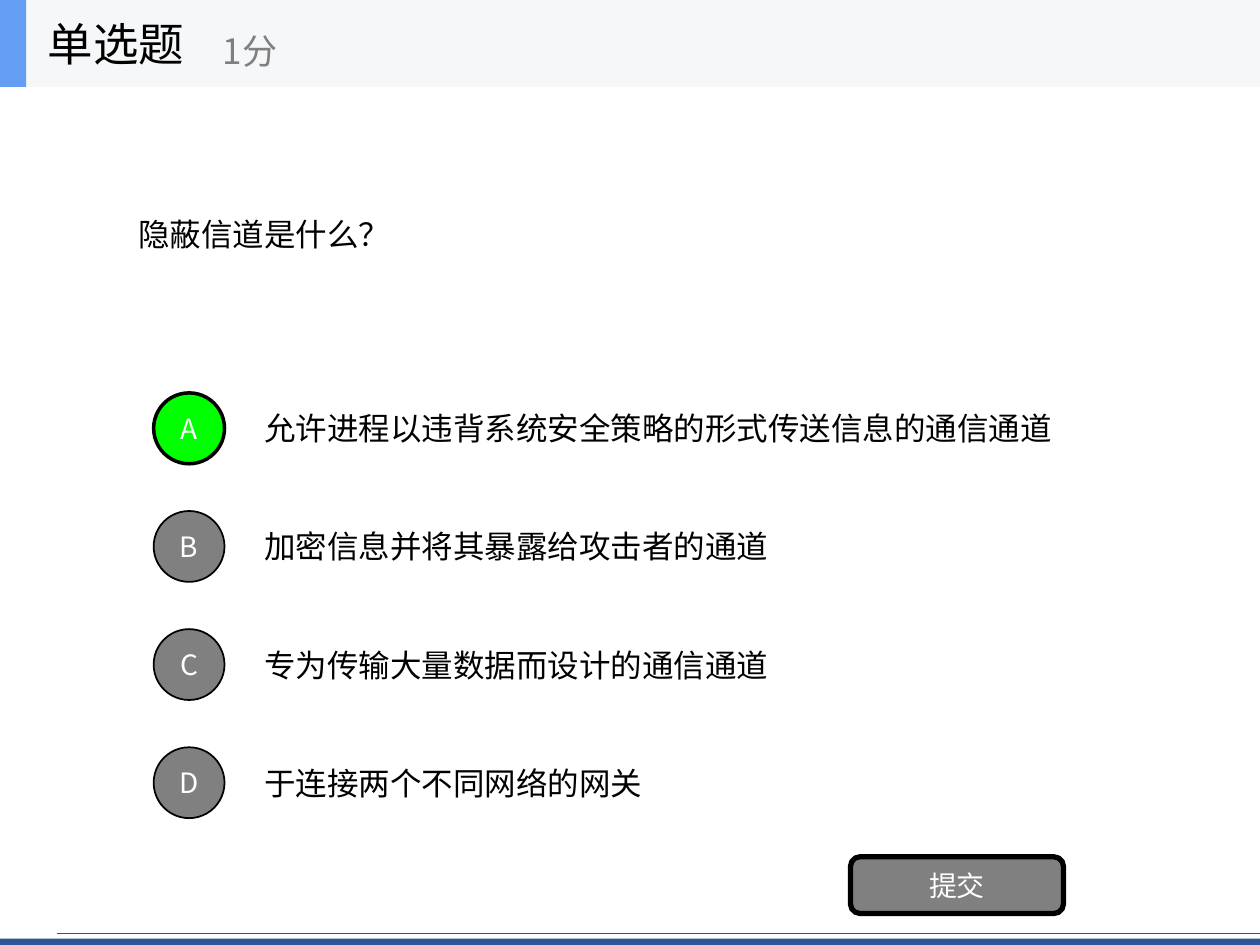
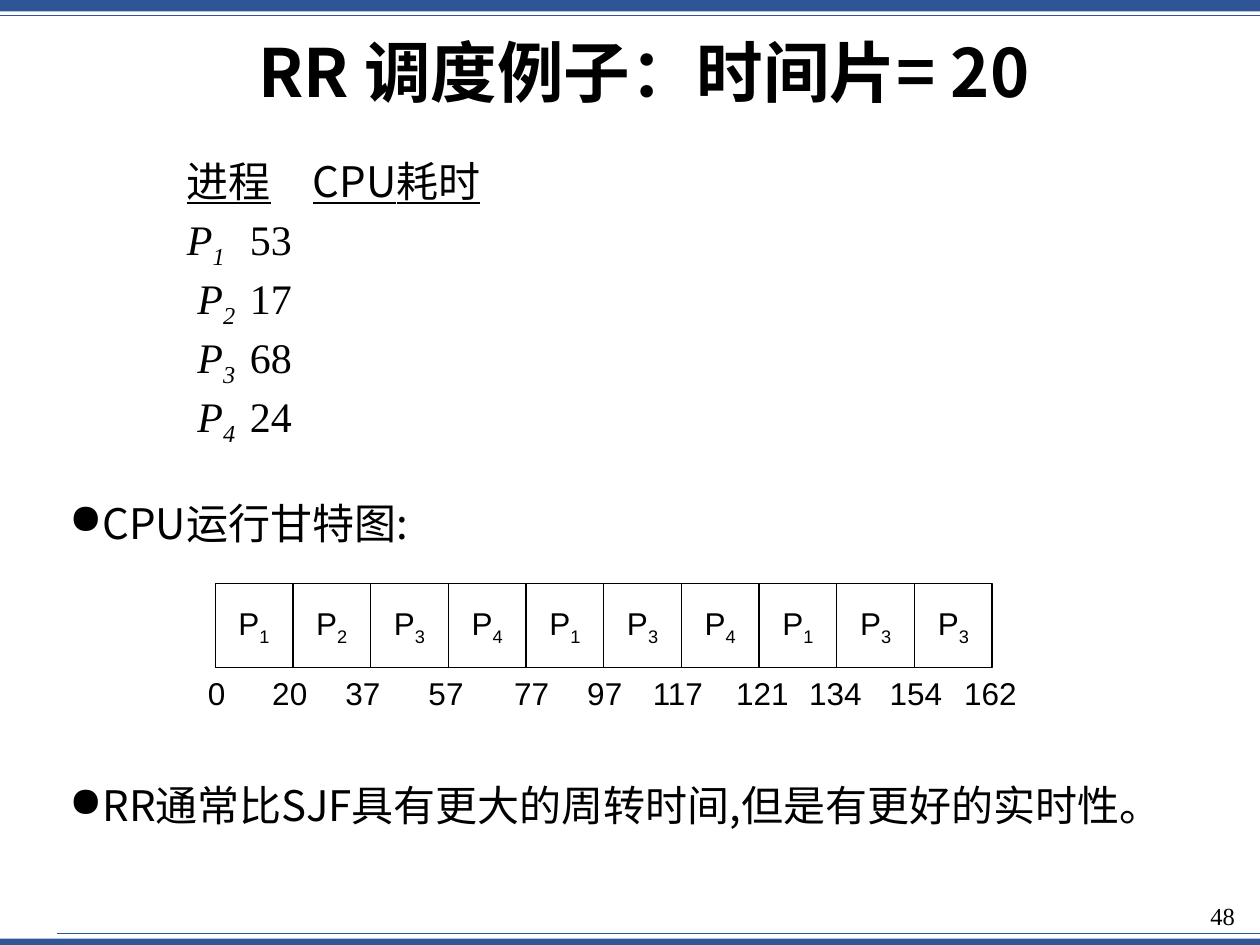
from lxml.etree import SubElement
from pptx import Presentation
from pptx.dml.color import RGBColor
from pptx.enum.shapes import MSO_CONNECTOR, MSO_SHAPE
from pptx.enum.text import MSO_ANCHOR, PP_ALIGN
from pptx.oxml.ns import qn
from pptx.util import Pt

QUESTION = "隐蔽信道是什么？"
OPTIONS = [
    ("A", "允许进程以违背系统安全策略的形式传送信息的通信通道"),
    ("B", "加密信息并将其暴露给攻击者的通道"),
    ("C", "专为传输大量数据而设计的通信通道"),
    ("D", "于连接两个不同网络的网关"),
]
CORRECT = "A"

TITLE = "RR 调度例子：时间片= 20"
BURST_HEADERS = ("进程", "CPU耗时")
BURSTS = [("1", "53", 0, 53.7), ("2", "17", 6, 57.7), ("3", "68", 6, 53.7), ("4", "24", 6, 57.7)]
BULLETS = [
    ("CPU运行甘特图:", 286.1),
    ("RR通常比SJF具有更大的周转时间,但是有更好的实时性。", 447.3),
]
GANTT_ORDER = "1234134133"
TIME_MARKS = [
    (0, 123.8), (20, 165.6), (37, 207.4), (57, 254.9), (77, 303.8), (97, 345.6),
    (117, 387.4), (121, 435.6), (134, 477.4), (154, 523.4), (162, 565.9),
]
PAGE_NUMBER = "48"

WIDTH, HEIGHT = 720, 540
BLACK = RGBColor(0x00, 0x00, 0x00)
WHITE = RGBColor(0xFF, 0xFF, 0xFF)
GRAY = RGBColor(0x80, 0x80, 0x80)
GREEN = RGBColor(0x00, 0xFF, 0x00)
NAVY = RGBColor(0x2F, 0x55, 0x97)
HEADER_GRAY = RGBColor(0xF6, 0xF7, 0xF8)
ACCENT_BLUE = RGBColor(0x63, 0x9E, 0xF4)

CJK, SERIF, SANS = "Noto Sans CJK SC", "Times New Roman", "Arial"
QUIZ_TEXT = {"name": CJK, "size": Pt(18)}
BUTTON_TEXT = {"name": CJK, "size": Pt(16), "color": WHITE}
BODY_TEXT = {"name": CJK, "size": Pt(24)}
BURST_TEXT = {"name": SERIF, "size": Pt(24)}
GANTT_TEXT = {"name": SANS, "size": Pt(18)}
SUBSCRIPT = {"baseline": "-25000"}


def add_span(para, text, style):
    span = para.add_run()
    span.text = text
    properties = span._r.get_or_add_rPr()
    span.font.color.rgb = BLACK
    for key, value in style.items():
        if key == "color":
            span.font.color.rgb = value
        elif key == "baseline":
            properties.set(key, value)
        else:
            setattr(span.font, key, value)
    SubElement(properties, qn("a:ea")).set("typeface", style["name"])


def format_frame(shape, align, anchor, inset):
    frame = shape.text_frame
    settings = {"word_wrap": True, "vertical_anchor": anchor}
    if inset is not None:
        settings |= {"margin_left": inset, "margin_right": inset}
    for key, value in settings.items():
        setattr(frame, key, value)
    para = frame.paragraphs[0]
    para.alignment = align
    return para


def add_text(page, area, text, style, align=PP_ALIGN.LEFT, anchor=MSO_ANCHOR.MIDDLE, inset=None):
    box = page.shapes.add_textbox(*map(Pt, area))
    para = format_frame(box, align, anchor, inset)
    if text:
        add_span(para, text, style)
    return box


def add_block(page, kind, area, fill, line=None, spans=()):
    shape = page.shapes.add_shape(kind, *map(Pt, area))
    shape.shadow.inherit = False
    shape.fill.solid()
    shape.fill.fore_color.rgb = fill
    if line is None:
        shape.line.fill.background()
    else:
        shape.line.color.rgb = BLACK
        shape.line.width = Pt(line)
    para = format_frame(shape, PP_ALIGN.CENTER, MSO_ANCHOR.MIDDLE, 0)
    for text, style in spans:
        add_span(para, text, style)


def add_page(deck):
    page = deck.slides.add_slide(deck.slide_layouts[6])
    for top, height in ((536.4, 3.6), (0, 6.5)):
        add_block(page, MSO_SHAPE.RECTANGLE, (0, top, WIDTH, height), NAVY)
    for left, top in ((0, 8.64), (32.4, 533.5)):
        rule = page.shapes.add_connector(MSO_CONNECTOR.STRAIGHT, Pt(left), Pt(top), Pt(WIDTH), Pt(top))
        rule.line.color.rgb = NAVY
        rule.line.width = Pt(0.5)
        SubElement(rule._element.spPr, qn("a:effectLst"))
    return page


def add_quiz_page(deck):
    page = add_page(deck)
    add_text(page, (72, 49.7, 576, 168.5), QUESTION, QUIZ_TEXT)
    for row, (letter, answer) in enumerate(OPTIONS):
        top = 219.5 + row * 67.5
        correct = letter == CORRECT
        add_text(page, (144, top, 504, 50.4), answer, QUIZ_TEXT)
        add_block(page, MSO_SHAPE.OVAL, (87.8, top + 5, 40.5, 40.5), GREEN if correct else GRAY,
                  2 if correct else 1, [(letter, BUTTON_TEXT)])
    add_block(page, MSO_SHAPE.ROUNDED_RECTANGLE, (486, 489.6, 121.7, 32.4), GRAY, 3,
              [("提交", BUTTON_TEXT)])
    for width, color in ((WIDTH, HEADER_GRAY), (15, ACCENT_BLUE)):
        add_block(page, MSO_SHAPE.RECTANGLE, (0, 0, width, 49.7), color)
    add_text(page, (20.2, 0, 150, 49.7), "单选题", {"name": CJK, "size": Pt(26)})
    add_text(page, (120.2, 8.6, 180, 40.3), "1分", {"name": CJK, "size": Pt(20), "color": GRAY})


def add_burst_row(para, spans, indent, tab):
    properties = para._p.get_or_add_pPr()
    properties.set("marL", "0")
    properties.set("indent", str(Pt(indent)))
    stops = SubElement(properties, qn("a:tabLst"))
    stop = SubElement(stops, qn("a:tab"))
    stop.set("pos", str(Pt(tab)))
    stop.set("algn", "l")
    for text, style in spans:
        add_span(para, text, style)


def add_burst_list(page):
    box = add_text(page, (99.7, 90.7, 300, 180), "", {}, anchor=MSO_ANCHOR.TOP)
    underlined = BODY_TEXT | {"underline": True}
    process, burst = BURST_HEADERS
    rows = [([(process, underlined), ("\t", BODY_TEXT), (burst, underlined)], 0, 53.7)]
    italic = BURST_TEXT | {"italic": True}
    for number, duration, indent, tab in BURSTS:
        spans = [("P", italic), (number + "\t", italic | SUBSCRIPT), (duration, BURST_TEXT)]
        rows.append((spans, indent, tab))
    for index, row in enumerate(rows):
        para = box.text_frame.add_paragraph() if index else box.text_frame.paragraphs[0]
        para.line_spacing = 0.8
        if index:
            para.space_before = Pt(7.5)
        add_burst_row(para, *row)


def add_bullet(page, text, top):
    box = add_text(page, (32.4, top, 672, 40), "", {}, anchor=MSO_ANCHOR.TOP)
    para = box.text_frame.paragraphs[0]
    para.line_spacing = 0.8
    properties = para._p.get_or_add_pPr()
    properties.set("marL", str(Pt(13.7)))
    properties.set("indent", str(Pt(-13.7)))
    SubElement(properties, qn("a:buChar")).set("char", "●")
    add_span(para, text, BODY_TEXT)


def add_gantt(page):
    left, top, width, height = 123, 333.4, 44.4, 48.2
    for column, number in enumerate(GANTT_ORDER):
        add_block(page, MSO_SHAPE.RECTANGLE, (left + column * width, top, width, height), WHITE, 0.75,
                  [("P", GANTT_TEXT), (number, GANTT_TEXT | SUBSCRIPT)])
    for time, center in TIME_MARKS:
        add_text(page, (center - 22, top + height, 44, 28.8), str(time), GANTT_TEXT,
                 PP_ALIGN.CENTER, inset=0)


def add_schedule_page(deck):
    page = add_page(deck)
    add_text(page, (673.9, 511.2, 38.9, 28.8), PAGE_NUMBER, {"name": SERIF, "size": Pt(14)},
             PP_ALIGN.RIGHT, MSO_ANCHOR.TOP)
    title = add_text(page, (32.4, 7.9, 671, 70.6), TITLE,
                     {"name": CJK, "size": Pt(38), "bold": True}, PP_ALIGN.CENTER)
    title.text_frame.paragraphs[0].line_spacing = 0.9
    add_burst_list(page)
    for text, top in BULLETS:
        add_bullet(page, text, top)
    add_gantt(page)


def main():
    deck = Presentation()
    deck.slide_width, deck.slide_height = Pt(WIDTH), Pt(HEIGHT)
    add_quiz_page(deck)
    add_schedule_page(deck)
    deck.save("out.pptx")


if __name__ == "__main__":
    main()
